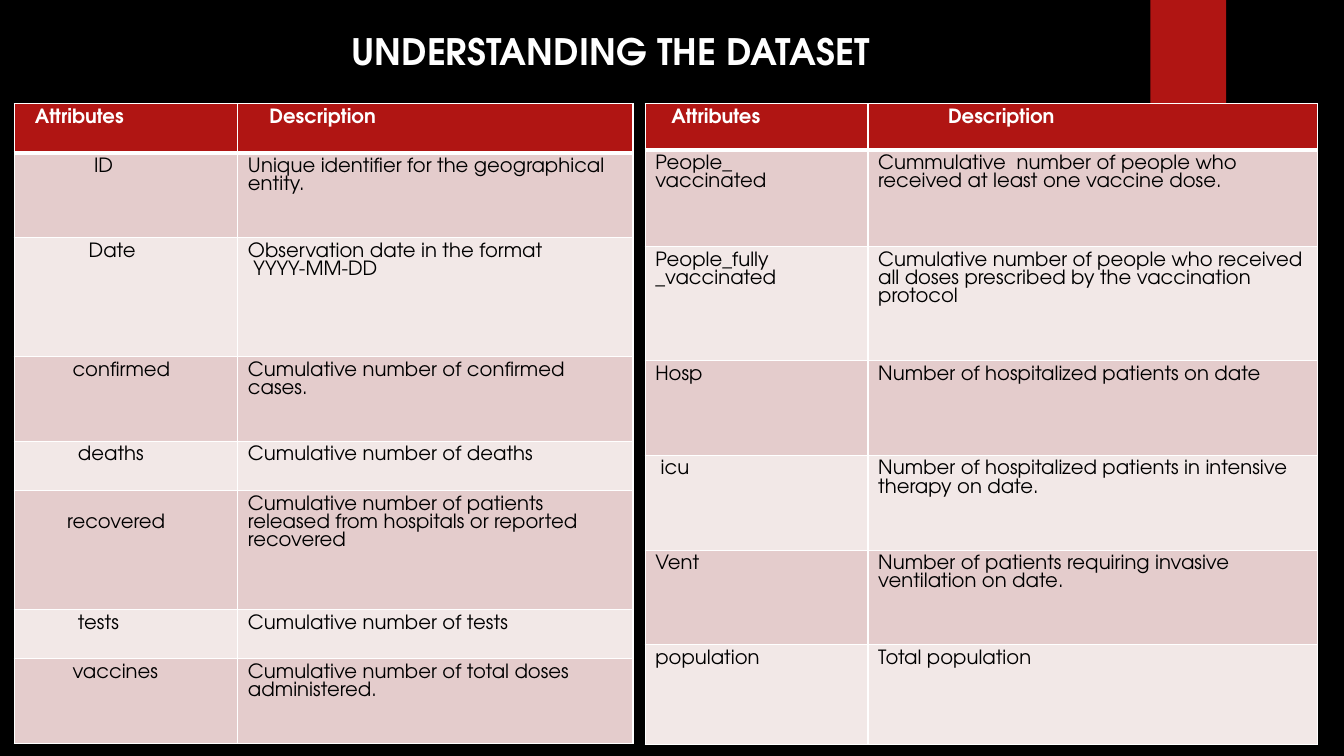
from dataclasses import dataclass

from lxml.etree import SubElement
from pptx import Presentation
from pptx.dml.color import RGBColor
from pptx.enum.shapes import MSO_SHAPE
from pptx.enum.text import MSO_ANCHOR, MSO_AUTO_SIZE, PP_ALIGN
from pptx.oxml.ns import qn
from pptx.util import Inches, Pt


@dataclass(frozen=True)
class Theme:
    font: str = "TeX Gyre Adventor"
    background: str = "000000"
    accent: str = "B01513"
    light: str = "FFFFFF"
    dark: str = "000000"
    bands: tuple = ("E4CCCC", "F2E8E7")
    title_size: int = 26
    table_size: int = 14
    thin_rule: int = 1
    header_rule: int = 3
    indent_step: float = 0.4  # percent of slide width


THEME = Theme()

# Each row: height in percent of the slide, (attribute, indent steps), (description, indent steps)
CASE_ATTRIBUTES = [
    (6.53, ("Attributes", 2), ("Description", 4)),
    (11.2, ("ID", 13), ("Unique identifier for the geographical entity.", 0)),
    (15.73, ("Date", 12), ("Observation date in the format\n YYYY-MM-DD", 0)),
    (11.2, ("confirmed", 9), ("Cumulative number of confirmed cases.", 0)),
    (6.53, ("deaths", 10), ("Cumulative number of deaths", 0)),
    (15.73, ("recovered", 8),
     ("Cumulative number of patients released from hospitals or reported recovered", 0)),
    (6.53, ("tests", 10), ("Cumulative number of tests", 0)),
    (11.2, ("vaccines", 9), ("Cumulative number of total doses administered.", 0)),
]
CARE_ATTRIBUTES = [
    (6.13, ("Attributes", 3), ("Description", 13)),
    (12.8, ("People_\nvaccinated", 0),
     ("Cummulative  number of people who received at least one vaccine dose.", 0)),
    (15.07, ("People_fully\n_vaccinated", 0),
     ("Cumulative number of people who received all doses prescribed by the "
      "vaccination protocol", 0)),
    (12.53, ("Hosp", 0), ("Number of hospitalized patients on date", 0)),
    (12.53, ("icu", 1),
     ("Number of hospitalized patients in intensive therapy on date.", 0)),
    (12.53, ("Vent", 0), ("Number of patients requiring invasive ventilation on date.", 0)),
    (13.2, ("population", 0), ("Total population", 0)),
]


def write(frame, text, *, size, color, bold=False, align=PP_ALIGN.LEFT):
    frame.word_wrap = True
    frame.text = text
    for paragraph in frame.paragraphs:
        paragraph.alignment = align
        for run in paragraph.runs:
            run.font.name = THEME.font
            run.font.size = Pt(size)
            run.font.bold = bold
            run.font.color.rgb = RGBColor.from_string(color)


def paint(fill, color):
    fill.solid()
    fill.fore_color.rgb = RGBColor.from_string(color)


def rule_cell(cell, color, top, bottom):
    """Draw the four borders; call before filling, as borders precede the fill in XML."""
    properties = cell._tc.get_or_add_tcPr()
    sides = {"lnL": THEME.thin_rule, "lnR": THEME.thin_rule, "lnT": top, "lnB": bottom}
    for side, width in sides.items():
        border = SubElement(properties, qn(f"a:{side}"), w=str(Pt(width)))
        SubElement(SubElement(border, qn("a:solidFill")), qn("a:srgbClr"), val=color)


class DatasetSlide:
    """Places elements by percentages of the slide's width and height."""

    def __init__(self, presentation, theme):
        self.theme = theme
        self.width = presentation.slide_width
        self.height = presentation.slide_height
        self.slide = presentation.slides.add_slide(presentation.slide_layouts[5])
        paint(self.slide.background.fill, theme.background)

    def across(self, percent):
        return round(self.width * percent / 100)

    def down(self, percent):
        return round(self.height * percent / 100)

    def box(self, left, top, width, height):
        return self.across(left), self.down(top), self.across(width), self.down(height)

    def title(self, text, *area):
        title = self.slide.shapes.title
        title.left, title.top, title.width, title.height = self.box(*area)
        frame = title.text_frame
        write(frame, text, size=self.theme.title_size, color=self.theme.light,
              bold=True, align=PP_ALIGN.CENTER)
        frame.auto_size = MSO_AUTO_SIZE.NONE
        frame.vertical_anchor = MSO_ANCHOR.MIDDLE

    def ribbon(self, *area):
        ribbon = self.slide.shapes.add_shape(MSO_SHAPE.RECTANGLE, *self.box(*area))
        paint(ribbon.fill, self.theme.accent)
        ribbon.line.fill.background()
        ribbon.shadow.inherit = False

    def table(self, left, top, column_widths, rows):
        area = self.box(left, top, sum(column_widths), sum(row[0] for row in rows))
        table = self.slide.shapes.add_table(len(rows), len(column_widths), *area).table
        table.horz_banding = False
        for column, width in zip(table.columns, column_widths):
            column.width = self.across(width)
        for index, (height, *entries) in enumerate(rows):
            table.rows[index].height = self.down(height)
            for position, (text, steps) in enumerate(entries):
                self.cell(table.cell(index, position), index, text, steps)
        return table

    def cell(self, cell, row, text, steps):
        theme, header = self.theme, row == 0
        rule_cell(cell, theme.light,
                  top=theme.header_rule if row == 1 else theme.thin_rule,
                  bottom=theme.header_rule if header else theme.thin_rule)
        paint(cell.fill, theme.accent if header else theme.bands[(row - 1) % 2])
        cell.margin_left = Inches(0.1) + self.across(steps * theme.indent_step)
        write(cell.text_frame, text, size=theme.table_size, bold=header,
              color=theme.light if header else theme.dark)


def main():
    presentation = Presentation()
    presentation.slide_width, presentation.slide_height = Inches(13.33), Inches(7.5)
    page = DatasetSlide(presentation, THEME)
    page.ribbon(85.6, 0, 5.63, 16.67)
    page.title("UNDERSTANDING THE DATASET", 0, 3.07, 90.92, 7.2)
    cases = page.table(1.05, 13.73, (16.65, 29.4), CASE_ATTRIBUTES)
    page.table(48.01, 13.73, (16.58, 33.46), CARE_ATTRIBUTES)
    recovered = cases.cell(5, 0)
    recovered.margin_top = Inches(0.23)  # one line lower than its neighbour
    presentation.save("out.pptx")


if __name__ == "__main__":
    main()
